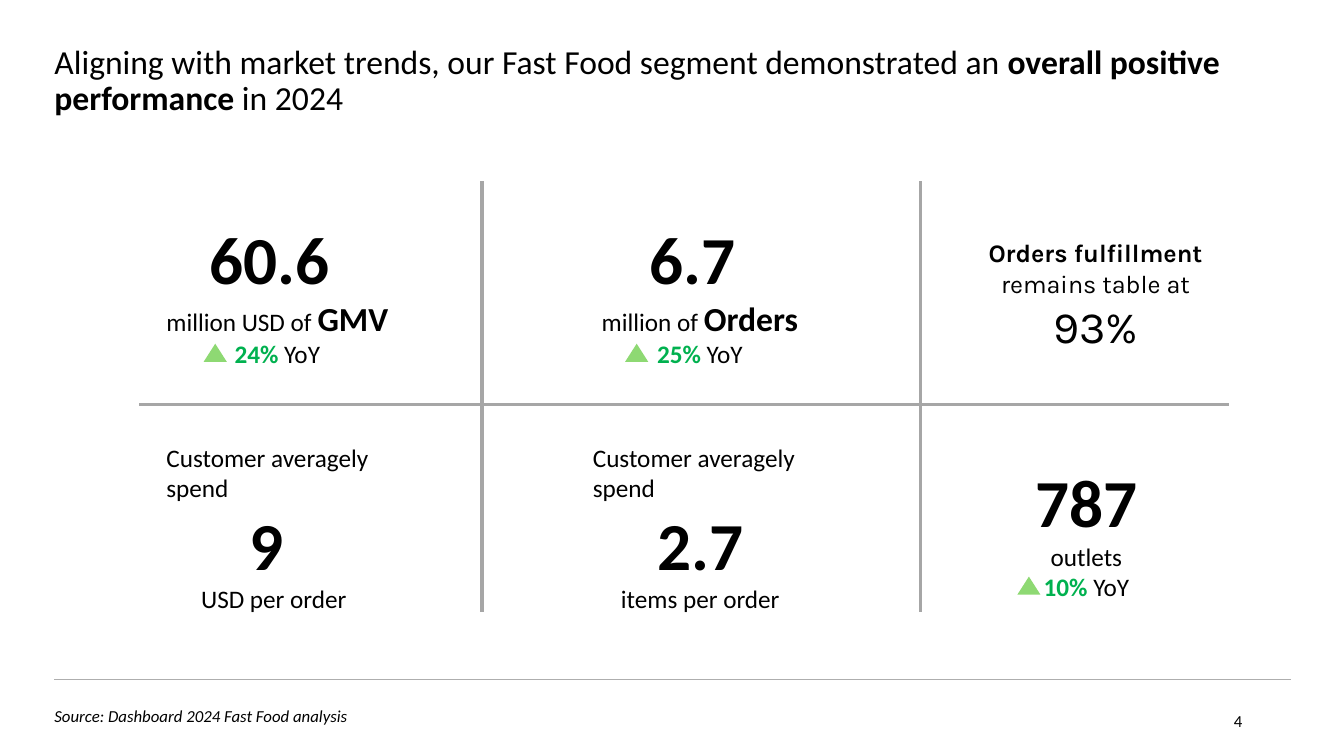
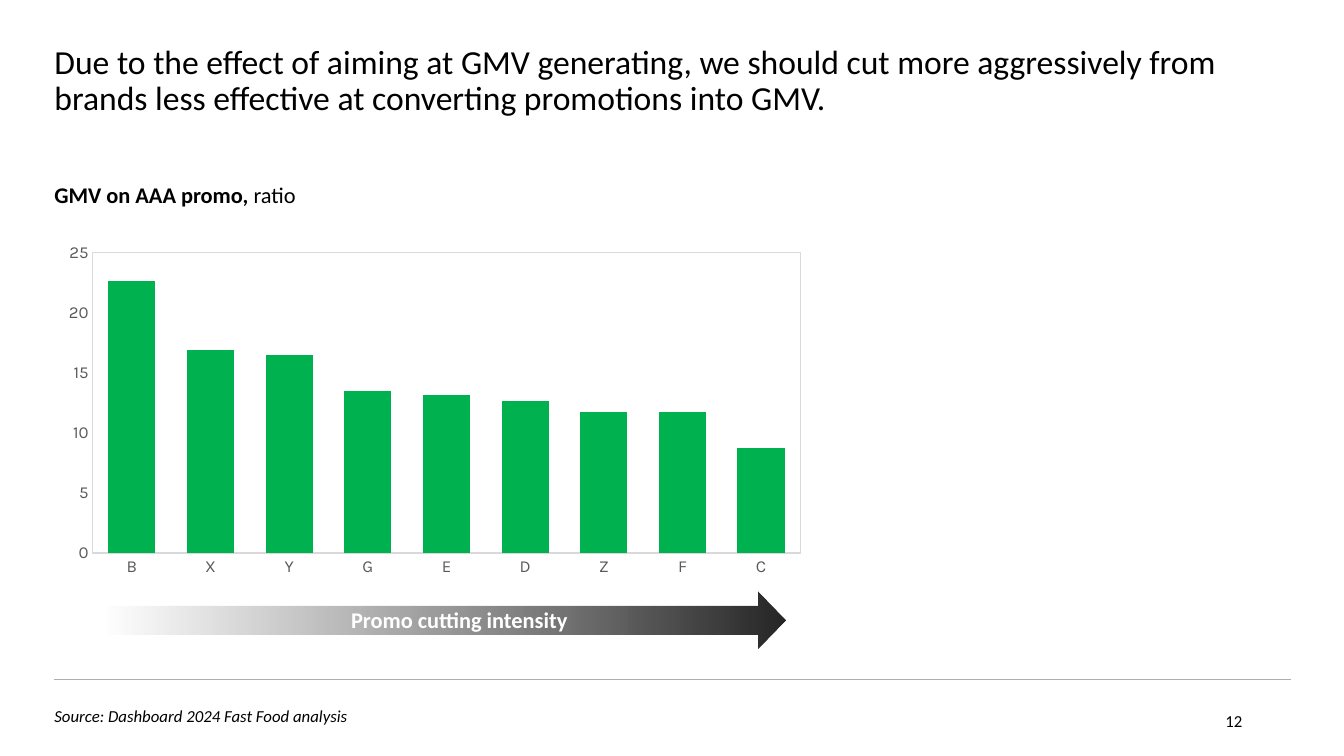
from lxml import etree
from pptx import Presentation
from pptx import util as u
from pptx.chart.data import CategoryChartData
from pptx.dml.color import RGBColor
from pptx.enum import chart as charts, shapes, text
from pptx.oxml import parse_xml
from pptx.oxml.ns import nsdecls, qn


class Theme:
    font = "Calibri"
    accent_font = "Karla"
    black = RGBColor.from_string("000000")
    white = RGBColor.from_string("FFFFFF")
    green = RGBColor.from_string("00B14F")
    light_green = RGBColor.from_string("8ED973")
    footer_line = RGBColor.from_string("AEAEAE")
    grid_line = RGBColor.from_string("A6A6A6")
    axis_line = RGBColor.from_string("D9D9D9")
    axis_text = RGBColor.from_string("595959")
    arrow_start = RGBColor.from_string("404040")
    arrow_end = RGBColor.from_string("262626")
    figure = u.Pt(48)
    ratio = u.Pt(32)
    title = u.Pt(24)
    body = u.Pt(18)
    label = u.Pt(16)
    small = u.Pt(12)


LEFT = text.PP_ALIGN.LEFT
CENTER = text.PP_ALIGN.CENTER
RIGHT = text.PP_ALIGN.RIGHT


def add_text(slide, box, paragraphs, size=Theme.body, align=LEFT, font=Theme.font,
             color=Theme.black, middle=False):
    frame = slide.shapes.add_textbox(*map(u.Inches, box)).text_frame
    frame.word_wrap = True
    frame.margin_left = 0
    if middle:
        frame.vertical_anchor = text.MSO_ANCHOR.MIDDLE
    for index, runs in enumerate(paragraphs):
        paragraph = frame.add_paragraph() if index else frame.paragraphs[0]
        paragraph.alignment = align
        paragraph.font.name = font
        paragraph.font.size = size
        paragraph.font.color.rgb = color
        for words, style in runs:
            run = paragraph.add_run()
            run.text = words
            for name, value in style.items():
                if name == "color":
                    run.font.color.rgb = value
                else:
                    setattr(run.font, name, value)
    return frame


def add_line(slide, start, end, color, width):
    points = map(u.Inches, (*start, *end))
    line = slide.shapes.add_connector(shapes.MSO_CONNECTOR.STRAIGHT, *points)
    line.line.color.rgb = color
    line.line.width = u.Pt(width)
    etree.SubElement(line._element.spPr, qn("a:effectLst"))


presentation = Presentation()
presentation.slide_width = u.Inches(13.33)
presentation.slide_height = u.Inches(7.5)

bold = {"bold": True}
figure = {"bold": True, "size": Theme.figure}
keyword = {"bold": True, "size": Theme.title}
growth = {"bold": True, "color": Theme.green}

frames = [
    ("4", [("Aligning with market trends, our Fast Food segment demonstrated an ", {}),
           ("overall positive performance", bold), (" in 2024", {})]),
    ("12", [("Due to the effect of aiming at GMV generating, we should cut more aggressively from "
             "brands less effective at converting promotions into GMV.", {})]),
]
for number, title in frames:
    slide = presentation.slides.add_slide(presentation.slide_layouts[6])
    add_line(slide, (0.54, 6.74), (12.8, 6.74), Theme.footer_line, 0.75)
    add_text(slide, (0.54, 6.94, 5.06, 0.32),
             [[("Source: Dashboard 2024 Fast Food analysis", {"italic": True})]],
             Theme.small, middle=True)
    add_text(slide, (9.42, 6.95, 3, 0.4), [[(number, {})]], Theme.small, RIGHT, middle=True)
    heading = add_text(slide, (0.54, 0.4, 12.26, 0.68), [title], Theme.title)
    heading.paragraphs[0].line_spacing = 0.9

results, promo = presentation.slides

for x in (4.78, 9.13):
    add_line(results, (x, 1.8), (x, 6.07), Theme.grid_line, 2.25)
add_line(results, (1.38, 4.01), (12.19, 4.01), Theme.grid_line, 2.25)

growth_cards = [
    ((1.38, 2.11, 2.84, 1.62), "60.6 ", [("million USD of ", {}), ("GMV", keyword)],
     "24% ", (2.02, 3.41)),
    ((5.8, 2.11, 2.38, 1.62), "6.7 ", [("million of ", {}), ("Orders", keyword)],
     "25% ", (6.2, 3.41)),
    ((9.68, 4.52, 2.29, 1.51), "787", [("outlets", {})], "10% ", (10.09, 5.72)),
]
for box, value, unit, change, marker in growth_cards:
    add_text(results, box, [[(value, figure)], unit, [(change, growth), ("YoY", {})]],
             align=CENTER)
    triangle = results.shapes.add_shape(shapes.MSO_SHAPE.ISOSCELES_TRIANGLE,
                                        *map(u.Inches, (*marker, 0.23, 0.18)))
    triangle.shadow.inherit = False
    triangle.fill.solid()
    triangle.fill.fore_color.rgb = Theme.light_green
    triangle.line.fill.background()

for left, value, unit in ((1.65, "9 ", "USD per order"), (5.88, "2.7", "items per order")):
    add_text(results, (left, 4.34, 2.29, 0.71), [[("Customer averagely spend", {})]])
    add_text(results, (left + 0.14, 4.94, 1.95, 1.21), [[(value, figure)], [(unit, {})]],
             align=CENTER)

add_text(results, (9.77, 2.31, 2.29, 1.25),
         [[("Orders fulfillment", bold), (" remains table at ", {}),
           ("93%", {"size": Theme.ratio})]],
         align=CENTER, font=Theme.accent_font)

add_text(promo, (0.54, 1.75, 3.92, 0.37), [[("GMV on AAA promo, ", bold), ("ratio", {})]],
         Theme.label)

data = CategoryChartData()
data.categories = list("BXYGEDZFC")
data.add_series("Series 1", (22.6, 16.9, 16.5, 13.5, 13.1, 12.6, 11.7, 11.7, 8.7))
chart = promo.shapes.add_chart(charts.XL_CHART_TYPE.COLUMN_CLUSTERED,
                               *map(u.Inches, (0.54, 2.33, 7.55, 3.47)), data).chart
chart.has_legend = False
chart.has_title = False
chart.font.name = Theme.accent_font
chart.font.size = Theme.small
chart.font.color.rgb = Theme.axis_text
plot = chart.plots[0]
plot.gap_width = 67
plot.overlap = -27
plot.vary_by_categories = False
bars = plot.series[0].format.fill
bars.solid()
bars.fore_color.rgb = Theme.green

for axis in (chart.category_axis, chart.value_axis):
    axis.has_major_gridlines = False
    axis.major_tick_mark = charts.XL_TICK_MARK.NONE
    axis.minor_tick_mark = charts.XL_TICK_MARK.NONE
chart.category_axis.format.line.color.rgb = Theme.axis_line
chart.category_axis.format.line.width = u.Pt(0.75)
chart.value_axis.format.line.fill.background()
chart.value_axis.minimum_scale = 0
chart.value_axis.maximum_scale = 25
chart.value_axis.major_unit = 5

plot_area = chart._chartSpace.chart.plotArea
for layout in plot_area.findall(qn("c:layout")):
    plot_area.remove(layout)
plot_area.insert(0, parse_xml(
    f'<c:layout {nsdecls("c")}><c:manualLayout><c:layoutTarget val="inner"/>'
    '<c:xMode val="edge"/><c:yMode val="edge"/><c:x val="0.05"/><c:y val="0.05"/>'
    '<c:w val="0.93"/><c:h val="0.86"/></c:manualLayout></c:layout>'))
plot_area.append(parse_xml(
    f'<c:spPr {nsdecls("c", "a")}><a:noFill/><a:ln w="9525"><a:solidFill>'
    f'<a:srgbClr val="{Theme.axis_line}"/></a:solidFill></a:ln></c:spPr>'))

arrow = promo.shapes.add_shape(shapes.MSO_SHAPE.RIGHT_ARROW,
                               *map(u.Inches, (1.02, 5.87, 6.77, 0.56)))
arrow.shadow.inherit = False
arrow.line.fill.background()
arrow.fill.gradient()
arrow.fill.gradient_angle = 0
for stop, color in zip(arrow.fill.gradient_stops, (Theme.arrow_start, Theme.arrow_end)):
    stop.color.rgb = color
first_color = next(arrow._element.spPr.iter(qn("a:srgbClr")))
etree.SubElement(first_color, qn("a:alpha"), val="0")
add_text(promo, (3.35, 5.96, 2.51, 0.37), [[("Promo cutting intensity", bold)]],
         Theme.label, CENTER, color=Theme.white)

presentation.save("out.pptx")
